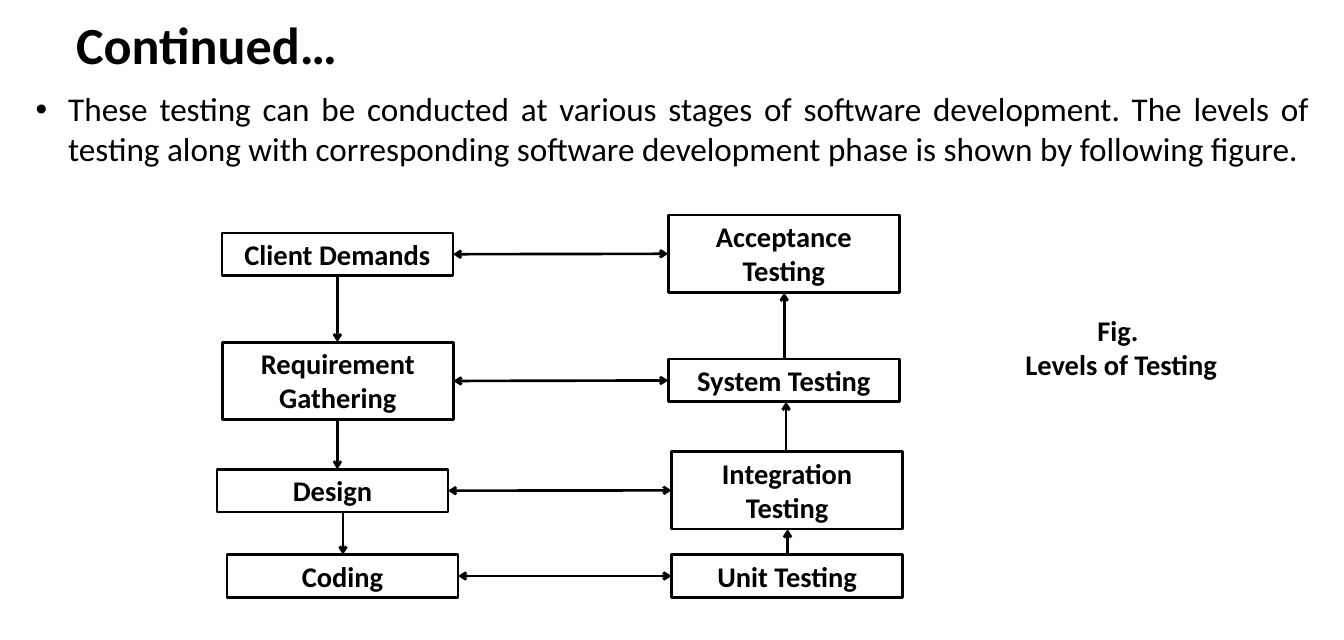
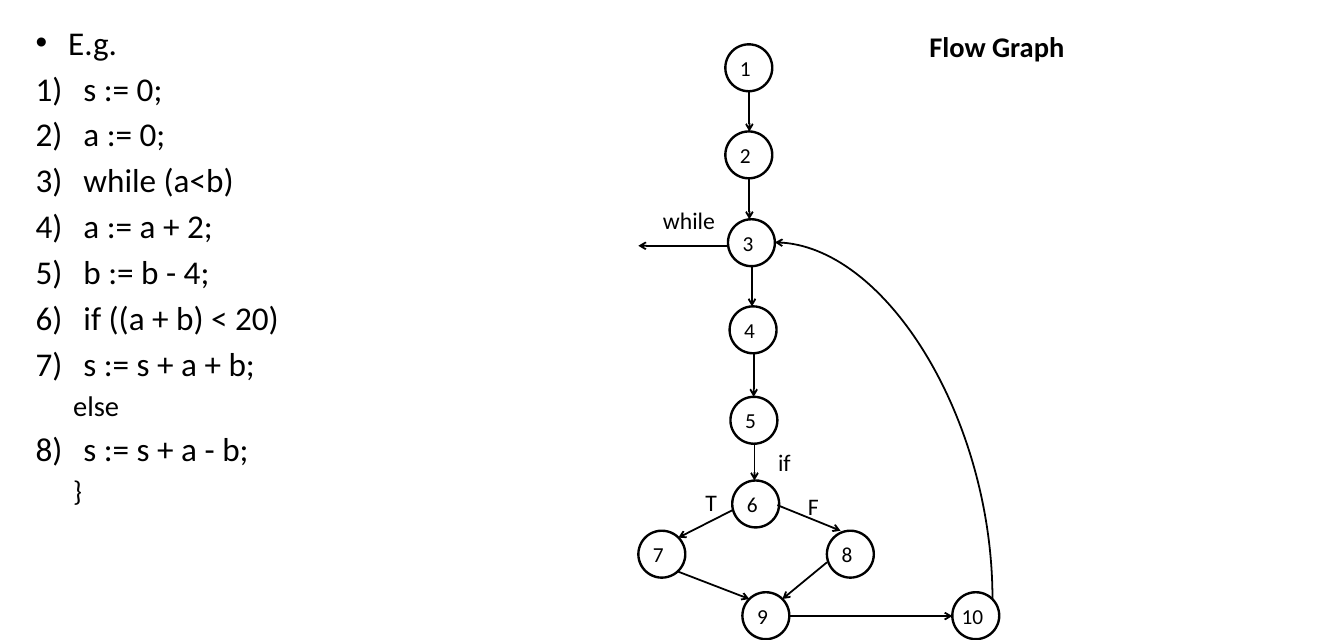
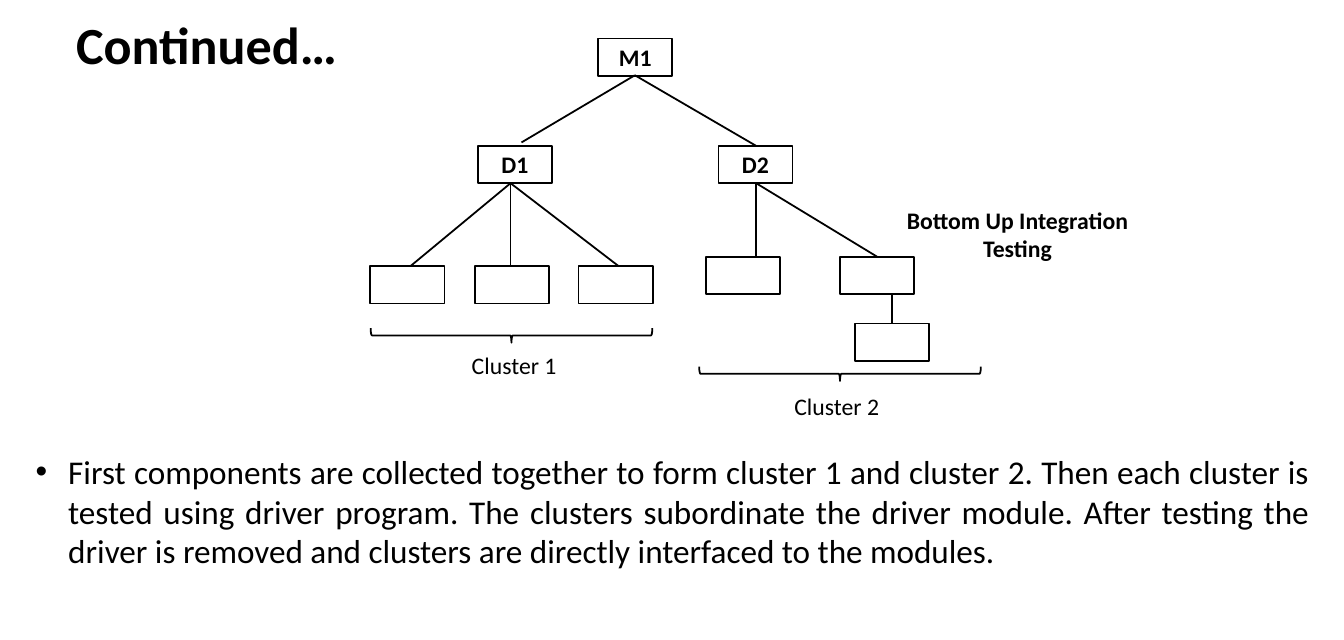
import lxml.etree
import pptx
import pptx.dml.color
import pptx.enum.shapes
import pptx.enum.text
import pptx.oxml.ns
import pptx.util

Pt = pptx.util.Pt
qn = pptx.oxml.ns.qn
KIND = pptx.enum.shapes.MSO_SHAPE
WIRE = pptx.enum.shapes.MSO_CONNECTOR
ALIGN = pptx.enum.text.PP_ALIGN
ANCHOR = pptx.enum.text.MSO_ANCHOR
FIT = pptx.enum.text.MSO_AUTO_SIZE
BLACK = pptx.dml.color.RGBColor(0, 0, 0)
FONT = "Calibri"
TITLE, BLANK = 5, 6


class Deck:
    def __init__(self):
        self.prs = pptx.Presentation()
        self.prs.slide_width = Pt(1134)
        self.prs.slide_height = Pt(540)
        self.slide = None

    def start(self, title=None):
        layout = self.prs.slide_layouts[BLANK if title is None else TITLE]
        self.slide = self.prs.slides.add_slide(layout)
        if title is None:
            return
        head = self.slide.shapes.title
        head.left, head.top = Pt(57), Pt(-8)
        head.width, head.height = Pt(1021), Pt(90)
        frame = head.text_frame
        frame.auto_size = FIT.NONE
        frame.vertical_anchor = ANCHOR.MIDDLE
        self.add_text(frame.paragraphs[0], title, 44, True, ALIGN.JUSTIFY)

    def add_text(self, para, text, size, bold=False, align=ALIGN.LEFT):
        para.alignment = align
        run = para.add_run()
        run.text = text
        run.font.name = FONT
        run.font.size = Pt(size)
        run.font.bold = bold
        run.font.color.rgb = BLACK

    def fill(self, frame, lines, size, bold, align):
        for i, line in enumerate(lines):
            para = frame.add_paragraph() if i else frame.paragraphs[0]
            self.add_text(para, line, size, bold, align)

    def label(self, spot, lines, size, bold=False, align=ALIGN.CENTER, wrap=True):
        frame = self.slide.shapes.add_textbox(*map(Pt, spot)).text_frame
        frame.word_wrap = wrap
        frame.auto_size = FIT.SHAPE_TO_FIT_TEXT
        self.fill(frame, lines, size, bold, align)

    def body(self, spot, items):
        frame = self.slide.shapes.add_textbox(*map(Pt, spot)).text_frame
        frame.word_wrap = True
        for i, (mark, text) in enumerate(items):
            para = frame.add_paragraph() if i else frame.paragraphs[0]
            size = 28 if mark else 24
            para.level = 0 if mark else 1
            para.space_before = Pt(size * 0.18)
            self.add_text(para, text, size, align=ALIGN.JUSTIFY)
            self.bullet(para, mark)

    def bullet(self, para, mark):
        left, hang, tag, attrs = {
            "dot": (27.5, -27.5, "a:buChar", {"char": "•"}),
            "num": (40.3, -40.3, "a:buAutoNum", {"type": "arabicParenR"}),
            None: (31.7, 0, "a:buNone", {}),
        }[mark]
        props = para._p.get_or_add_pPr()
        props.set("marL", str(Pt(left)))
        props.set("indent", str(Pt(hang)))
        if mark == "dot":
            lxml.etree.SubElement(props, qn("a:buFont"), typeface="Arial")
        lxml.etree.SubElement(props, qn(tag), **attrs)

    def shape(self, kind, spot, width):
        item = self.slide.shapes.add_shape(kind, *map(Pt, spot))
        item.shadow.inherit = False
        item.fill.background()
        item.line.color.rgb = BLACK
        item.line.width = Pt(width)
        return item

    def box(self, spot, text, size, width):
        item = self.shape(KIND.RECTANGLE, spot, width)
        if text:
            frame = item.text_frame
            frame.word_wrap = True
            frame.vertical_anchor = ANCHOR.TOP
            frame.auto_size = FIT.SHAPE_TO_FIT_TEXT
            self.fill(frame, [text], size, True, ALIGN.CENTER)

    def node(self, spot, text):
        frame = self.shape(KIND.OVAL, spot, 2).text_frame
        frame.margin_left = frame.margin_top = frame.margin_bottom = 0
        frame.margin_right = Pt(5.8)
        frame.vertical_anchor = ANCHOR.MIDDLE
        self.fill(frame, [text], 18, False, ALIGN.CENTER)

    def brace(self, spot):
        self.shape(KIND.LEFT_BRACE, spot, 1.5).rotation = 270

    def line(self, ends, width=1.5, head=False, tail=False, curve=False):
        kind = WIRE.CURVE if curve else WIRE.STRAIGHT
        wire = self.slide.shapes.add_connector(kind, *map(Pt, ends))
        wire.line.color.rgb = BLACK
        wire.line.width = Pt(width)
        props = wire._element.spPr
        if curve:
            props.find(qn("a:prstGeom")).set("prst", "curvedConnector2")
        stroke = props.find(qn("a:ln"))
        for tag, wanted in (("a:headEnd", head), ("a:tailEnd", tail)):
            if wanted:
                lxml.etree.SubElement(stroke, qn(tag), type="arrow")
        lxml.etree.SubElement(props, qn("a:effectLst"))


def levels(deck):
    deck.start("Continued…")
    deck.body((23, 71.3, 1088.6, 465), [(
        "dot",
        "These testing can be conducted at various stages of software development. "
        "The levels of testing along with corresponding software development phase "
        "is shown by following figure.")])
    wide, low, high = 195, 36, 65.5
    phases = [
        ("Client Demands", 187.2, 196.5, low),
        ("Requirement Gathering", 187.5, 288.7, high),
        ("Design", 183, 396, low),
        ("Coding", 191.5, 468, low),
    ]
    tests = [
        ("Acceptance Testing", 563.8, 181.4, high),
        ("System Testing", 563.8, 303, low),
        ("Integration Testing", 566.6, 381, high),
        ("Unit Testing", 566.6, 468, low),
    ]
    for text, x, y, tall in phases + tests:
        deck.box((x, y, wide, tall), text, 24, 2.25)
    for x, upper, lower in zip((284.7, 284.7, 289.4), phases, phases[1:]):
        deck.line((x, upper[2] + upper[3], x, lower[2]), 2.25, tail=True)
    for x, upper, lower in zip((661.7, 663.3, 664.5), tests, tests[1:]):
        deck.line((x, lower[2], x, upper[2] + upper[3]), 2.25, tail=True)
    for (_, x, y, tall), test in zip(phases, tests):
        mid = y + tall / 2
        deck.line((x + wide, mid, test[1], test[2] + test[3] / 2), 2.25, True, True)
    deck.label((748, 260.6, 396, 65.5), ["Fig. ", "Levels of Testing"], 24, True)


def graph(deck):
    deck.start()
    code = ["s := 0;", "a := 0;", "while (a<b)", "a := a + 2;", "b := b - 4;",
            "if ((a + b) < 20)", "s := s + a + b;"]
    items = [("dot", "E.g. ")] + [("num", text) for text in code]
    items += [(None, "else"), ("num", "s := s + a - b;"), (None, "}")]
    deck.body((23, 15.1, 1088.6, 516), items)
    deck.label((777, 20.9, 129.6, 36), ["Flow Graph"], 24, True, ALIGN.LEFT, False)
    size = 39.6
    nodes = [(612, 37.4), (612, 110.9), (614.2, 185), (615.6, 258.5), (616.3, 334.8),
             (617.8, 405.4), (538.6, 447.8), (697.7, 447.8), (626.4, 499.7),
             (803.5, 499.7)]
    for i, (x, y) in enumerate(nodes, 1):
        deck.node((x, y, size, size), str(i))
    for (x, y), (_, end) in zip(nodes[:5], nodes[1:6]):
        mid = x + size / 2 + 0.5
        deck.line((mid, y + size, mid, end), tail=True)
    for ends in [
        (617.8, 430.6, 572.4, 453.6),
        (655.9, 426.2, 709.2, 447.8),
        (572.4, 482.4, 632.2, 505.4),
        (697.7, 474.5, 660.2, 505.4),
        (666, 519.8, 803.5, 519.8),
        (614.2, 207.4, 538.6, 207.4),
    ]:
        deck.line(ends, tail=True)
    deck.line((653.8, 204.5, 837.4, 505.4), head=True, curve=True)
    for text, x, y, wide in [
        ("while", 552.2, 170, 59),
        ("if", 649.4, 374.4, 25.2),
        ("T", 588.2, 408.2, 24.5),
        ("F", 674.6, 411.8, 23.8),
    ]:
        deck.label((x, y, wide, 31.5), [text], 20, align=ALIGN.LEFT, wrap=False)


def bottom(deck):
    deck.start("Continued…")
    deck.body((23, 377, 1088.6, 154), [(
        "dot",
        "First components are collected together to form cluster 1 and cluster 2. "
        "Then each cluster is tested using driver program. The clusters subordinate "
        "the driver module. After testing the driver is removed and clusters are "
        "directly interfaced to the modules.")])
    deck.label((748, 170, 221, 55.5), ["Bottom Up Integration Testing"], 20, True)
    for text, x, y in [
        ("M1", 504.7, 32.4),
        ("D1", 403.2, 123.1),
        ("D2", 606.2, 123.1),
        ("", 312.5, 224.6),
        ("", 401, 224.6),
        ("", 488.2, 224.6),
        ("", 595.4, 216.7),
        ("", 708.5, 216.7),
        ("", 721.4, 272.9),
    ]:
        deck.box((x, y, 62.6, 31.5), text, 20, 1.5)
    for start, ends in [
        ((535.7, 63.5), [(440, 120.2), (638, 123.1)]),
        ((430.8, 154.6), [(346.3, 224.6), (430.8, 224.6), (522, 224.6)]),
        ((638, 154.6), [(638, 216.7), (740.2, 216.7)]),
        ((752.4, 248), [(752.4, 272.9)]),
    ]:
        for end in ends:
            deck.line(start + end)
    for text, x, y in [("Cluster 1", 374.4, 292.3), ("Cluster 2", 646.6, 327)]:
        deck.label((x, y, 118.8, 31.5), [text], 20)
    for x, y in [(425.5, 164.2), (702.7, 196.6)]:
        deck.brace((x, y, 12.2, 237.6))


def main():
    deck = Deck()
    levels(deck)
    graph(deck)
    bottom(deck)
    deck.prs.save("out.pptx")


if __name__ == "__main__":
    main()
